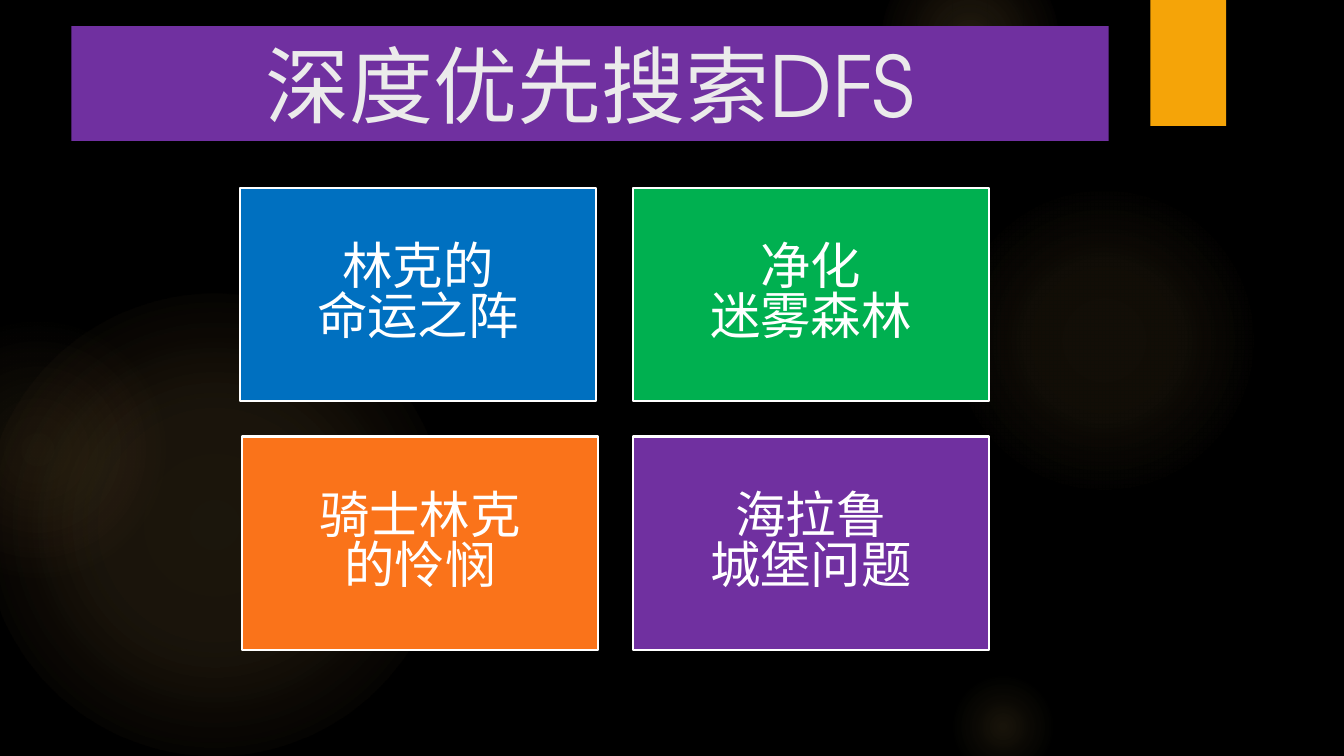
from lxml import etree
from pptx import Presentation
from pptx import util as u
from pptx.dml import color
from pptx.enum import shapes, text
from pptx.oxml import ns

COLORS = {
    "black": "000000", "white": "FFFFFF", "title": "EBEBEB", "glow": "FAC96A",
    "coral": "F59B74", "amber": "F5A408", "purple": "7030A0", "blue": "0070C0",
    "green": "00B050", "orange": "FA731A",
}
HALOS = [
    (-12, 210, 330, [(0, 11), (36, 10), (75, 0)], "glow"),
    (-66, 228, 186, [(0, 8), (36, 5), (71, 0)], "coral"),
    (677.5, 132, 222, [(0, 7), (36, 6), (69, 0)], "glow"),
    (630, -36, 126, [(0, 14), (36, 7), (73, 0)], "glow"),
    (677.5, 480, 78, [(0, 10), (31, 5), (66, 0)], "glow"),
]
CARD_ROWS = [
    (134, [(171.4, "林克的\n命运之阵", "blue"), (452.2, "净化\n迷雾森林", "green")]),
    (311.8, [(172.8, "骑士林克\n的怜悯", "orange"), (452.2, "海拉鲁\n城堡问题", "purple")]),
]
CARD_SIZE = (254.2, 152.6)


class SlideBuilder:
    """Draws styled elements on one slide, with lengths in points."""

    latin = "TeX Gyre Adventor"
    chinese = "Noto Sans CJK SC"

    def __init__(self, page):
        self.page = page
        fill = page.background.fill
        fill.solid()
        fill.fore_color.rgb = self.rgb("black")

    def rgb(self, name):
        return color.RGBColor.from_string(COLORS[name])

    def shape(self, kind, left, top, width, height):
        box = self.page.shapes.add_shape(kind, *map(u.Pt, (left, top, width, height)))
        box.shadow.inherit = False
        box.line.fill.background()
        return box

    def block(self, left, top, width, height, fill):
        box = self.shape(shapes.MSO_SHAPE.RECTANGLE, left, top, width, height)
        box.fill.solid()
        box.fill.fore_color.rgb = self.rgb(fill)
        return box

    def halo(self, left, top, size, stops, edge):
        box = self.shape(shapes.MSO_SHAPE.OVAL, left, top, size, size)
        box.fill.background()
        gradient = etree.Element(ns.qn("a:gradFill"), rotWithShape="1")
        stop_list = etree.SubElement(gradient, ns.qn("a:gsLst"))
        for position, opacity in stops:
            name = "glow" if opacity else edge
            stop = etree.SubElement(stop_list, ns.qn("a:gs"), pos=str(position * 1000))
            tint = etree.SubElement(stop, ns.qn("a:srgbClr"), val=COLORS[name])
            etree.SubElement(tint, ns.qn("a:alpha"), val=str(opacity * 1000))
        circle = etree.SubElement(gradient, ns.qn("a:path"), {"path": "circle"})
        etree.SubElement(circle, ns.qn("a:fillToRect"), dict.fromkeys("ltrb", "50000"))
        properties = box.element.spPr
        properties.replace(properties.find(ns.qn("a:noFill")), gradient)

    def label(self, box, words, size, font, tone, inset, spacing):
        frame = box.text_frame
        frame.word_wrap = True
        frame.vertical_anchor = text.MSO_ANCHOR.MIDDLE
        frame.margin_left = frame.margin_right = u.Pt(inset)
        frame.margin_top = frame.margin_bottom = u.Pt(inset)
        frame.text = words
        for para in frame.paragraphs:
            para.alignment = text.PP_ALIGN.CENTER
            para.line_spacing = spacing
            for span in para.runs:
                span.font.size = u.Pt(size)
                span.font.color.rgb = self.rgb(tone)
                span.font.name = font
                properties = span.font._element
                etree.SubElement(properties, ns.qn("a:ea"), typeface=self.chinese)

    def title(self, words):
        box = self.block(51, 18.7, 741, 82, "purple")
        self.label(box, words, 60, self.latin, "title", 3.6, 1.0)

    def card(self, left, top, words, fill):
        box = self.block(left, top, *CARD_SIZE, fill)
        box.line.color.rgb = self.rgb("white")
        box.line.width = u.Pt(1.5)
        self.label(box, words, 36, self.chinese, "white", 10.8, 0.83)


def main():
    deck = Presentation()
    deck.slide_width, deck.slide_height = u.Pt(960), u.Pt(540)
    builder = SlideBuilder(deck.slides.add_slide(deck.slide_layouts[6]))
    for halo in HALOS:
        builder.halo(*halo)
    builder.block(821.8, 0, 54, 90, "amber")
    builder.title("深度优先搜索DFS")
    for top, cards in CARD_ROWS:
        for left, words, fill in cards:
            builder.card(left, top, words, fill)
    deck.save("out.pptx")


if __name__ == "__main__":
    main()
